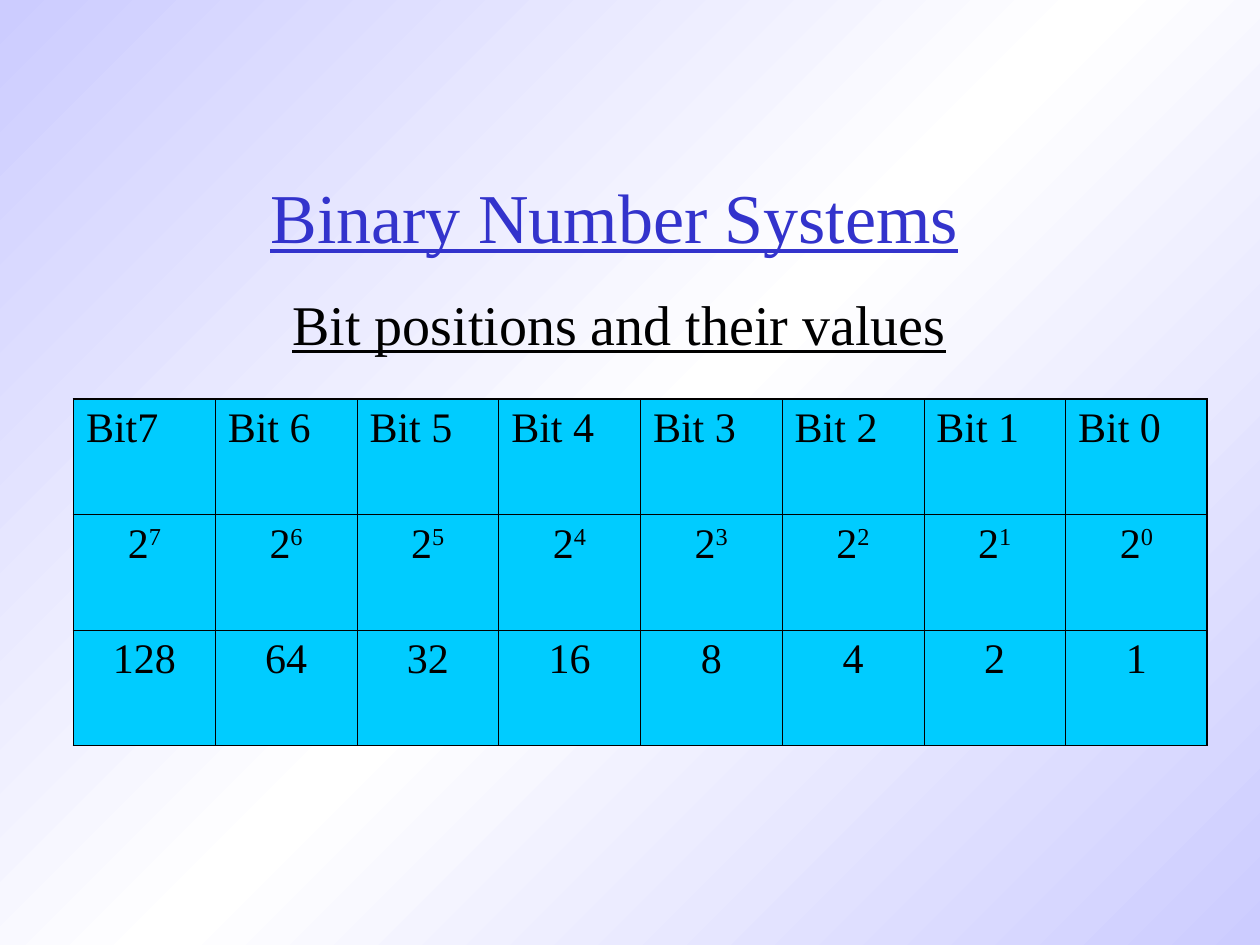
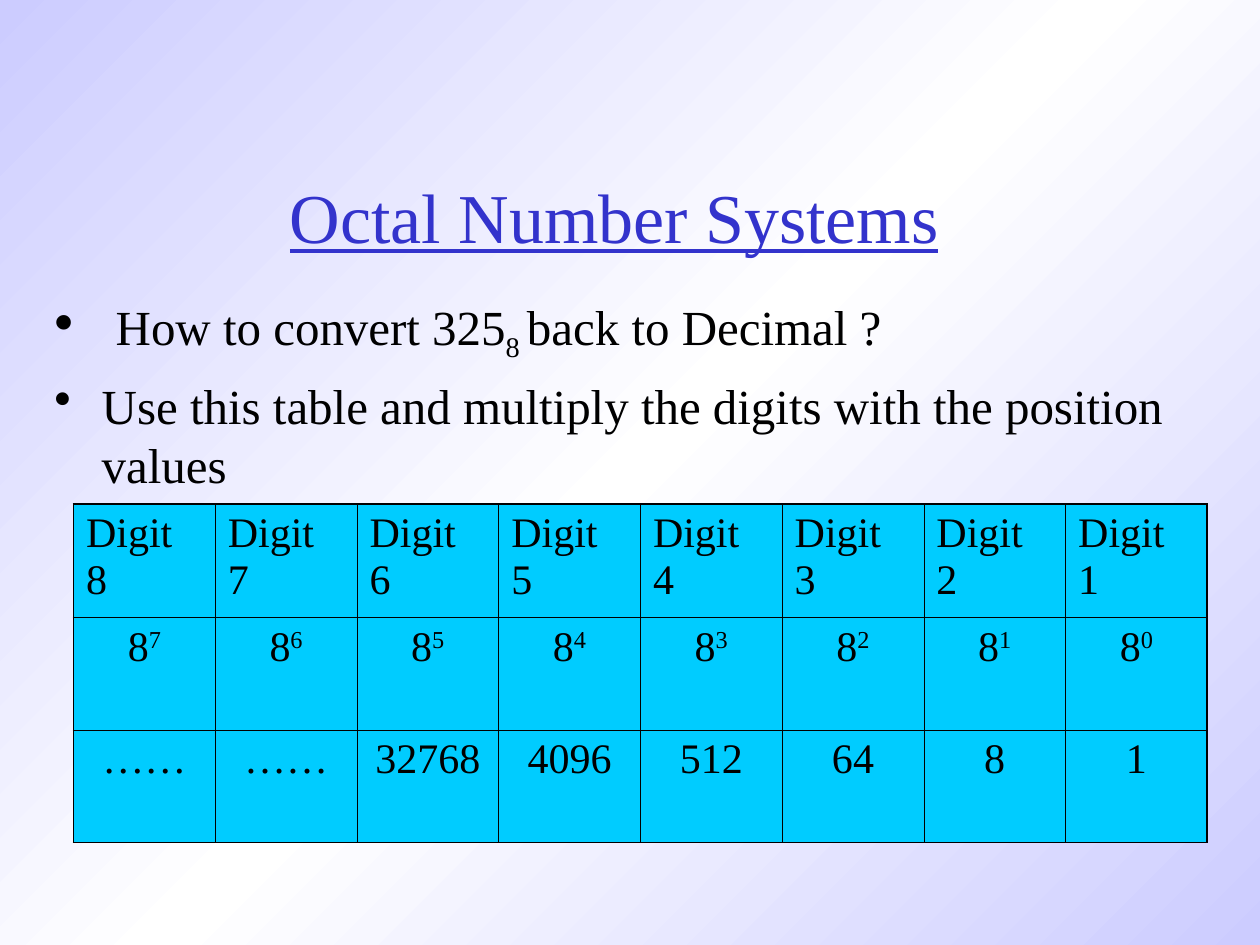
from copy import deepcopy

from lxml.etree import SubElement
from pptx import Presentation
from pptx.dml.color import RGBColor
from pptx.enum.text import MSO_ANCHOR as Anchor, PP_ALIGN as Align
from pptx.oxml.ns import qn
from pptx.util import Pt

COLORS = {
    "edge": "CCCCFF",
    "middle": "FFFFFF",
    "title": "3333CC",
    "text": "000000",
    "cell": "00CCFF",
}
FONT = "Times New Roman"
OUTER_LINE, INNER_LINE = 1.08, 0.45
COLUMN_WIDTH = 81


def style_run(run, size, color="text", underline=None, baseline=None):
    run.font.name = FONT
    run.font.size = Pt(size)
    run.font.underline = underline
    run.font.color.rgb = RGBColor.from_string(COLORS[color])
    if baseline:
        run.font._element.set("baseline", str(baseline * 1000))


def add_heading(slide, text, left, top, width, height, size, color, anchor):
    frame = slide.shapes.add_textbox(Pt(left), Pt(top), Pt(width), Pt(height)).text_frame
    frame.word_wrap = True
    frame.vertical_anchor = anchor
    frame.text = text
    paragraph = frame.paragraphs[0]
    paragraph.alignment = Align.CENTER
    style_run(paragraph.runs[0], size, color, underline=True)


presentation = Presentation()
presentation.slide_width, presentation.slide_height = Pt(720), Pt(540)

# Diagonal gradient shared by all slides
master = presentation.slide_master
fill = master.background.fill
fill.gradient()
fill.gradient_angle = 315
stop_list = master.element.xpath(".//p:bg//a:gsLst")[0]
stop_list.insert(1, deepcopy(stop_list[0]))
for stop, color, position in zip(fill.gradient_stops, ("edge", "middle", "edge"), (0, 0.5, 1)):
    stop.color.rgb = RGBColor.from_string(COLORS[color])
    stop.position = position

# What differs between the two number systems
systems = [
    {
        "title": "Binary Number Systems",
        "base": "2",
        "labels": ["Bit7"] + [f"Bit {bit}" for bit in range(6, -1, -1)],
        "values": [str(2 ** power) for power in range(7, -1, -1)],
        "table_top": 228,
        "row_height": 66,
    },
    {
        "title": "Octal Number Systems",
        "base": "8",
        "labels": [f"Digit {digit}" for digit in range(8, 0, -1)],
        "values": ["……"] * 2 + [str(8 ** power) for power in range(5, -1, -1)],
        "table_top": 288,
        "row_height": 64.33,
    },
]

for system in systems:
    slide = presentation.slides.add_slide(presentation.slide_layouts[6])
    add_heading(slide, system["title"], 72, 84, 558, 78, 40, "title", Anchor.MIDDLE)

    # Text above the table
    if system["base"] == "2":
        add_heading(slide, "Bit positions and their values", 36, 162, 636, 46, 32, "text", Anchor.TOP)
    else:
        frame = slide.shapes.add_textbox(Pt(24), Pt(162), Pt(666), Pt(138)).text_frame
        frame.word_wrap = True
        frame.margin_top = Pt(7.2)
        bullets = [
            (35, 114, [("How to convert 325", None), ("8 ", -25), ("back to Decimal ?", None)]),
            (27, 100, [("Use this table and multiply the digits with the position values", None)]),
        ]
        for number, (indent, bullet_percent, parts) in enumerate(bullets):
            paragraph = frame.add_paragraph() if number else frame.paragraphs[0]
            properties = paragraph._p.get_or_add_pPr()
            properties.set("marL", str(Pt(indent)))
            properties.set("indent", str(-Pt(indent)))
            SubElement(properties, qn("a:buSzPct")).set("val", str(bullet_percent * 1000))
            SubElement(properties, qn("a:buChar")).set("char", "•")
            if number:
                paragraph.space_before = Pt(7)
            for text, baseline in parts:
                run = paragraph.add_run()
                run.text = text
                style_run(run, 28, baseline=baseline)

    # Table of positions, powers and values
    rows = [system["labels"], [system["base"]] * 8, system["values"]]
    row_count, column_count = len(rows), len(rows[0])
    table = slide.shapes.add_table(
        row_count, column_count, Pt(42), Pt(system["table_top"]),
        Pt(COLUMN_WIDTH * column_count), Pt(system["row_height"] * row_count),
    ).table
    for column in table.columns:
        column.width = Pt(COLUMN_WIDTH)
    for row_index, texts in enumerate(rows):
        table.rows[row_index].height = Pt(system["row_height"])
        for column_index, text in enumerate(texts):
            cell = table.cell(row_index, column_index)

            # Thicker borders around the outside
            outer_sides = {
                "a:lnL": column_index == 0,
                "a:lnR": column_index == column_count - 1,
                "a:lnT": row_index == 0,
                "a:lnB": row_index == row_count - 1,
            }
            for side, is_outer in outer_sides.items():
                line = SubElement(cell._tc.get_or_add_tcPr(), qn(side))
                line.set("w", str(Pt(OUTER_LINE if is_outer else INNER_LINE)))
                line_fill = SubElement(line, qn("a:solidFill"))
                SubElement(line_fill, qn("a:srgbClr")).set("val", COLORS["text"])
            cell.fill.solid()
            cell.fill.fore_color.rgb = RGBColor.from_string(COLORS["cell"])

            cell.text = text
            paragraph = cell.text_frame.paragraphs[0]
            paragraph.alignment = Align.CENTER if row_index else Align.LEFT
            style_run(paragraph.runs[0], 24)
            if row_index == 1:
                exponent = paragraph.add_run()
                exponent.text = str(column_count - 1 - column_index)
                style_run(exponent, 24, baseline=30)

presentation.save("out.pptx")
